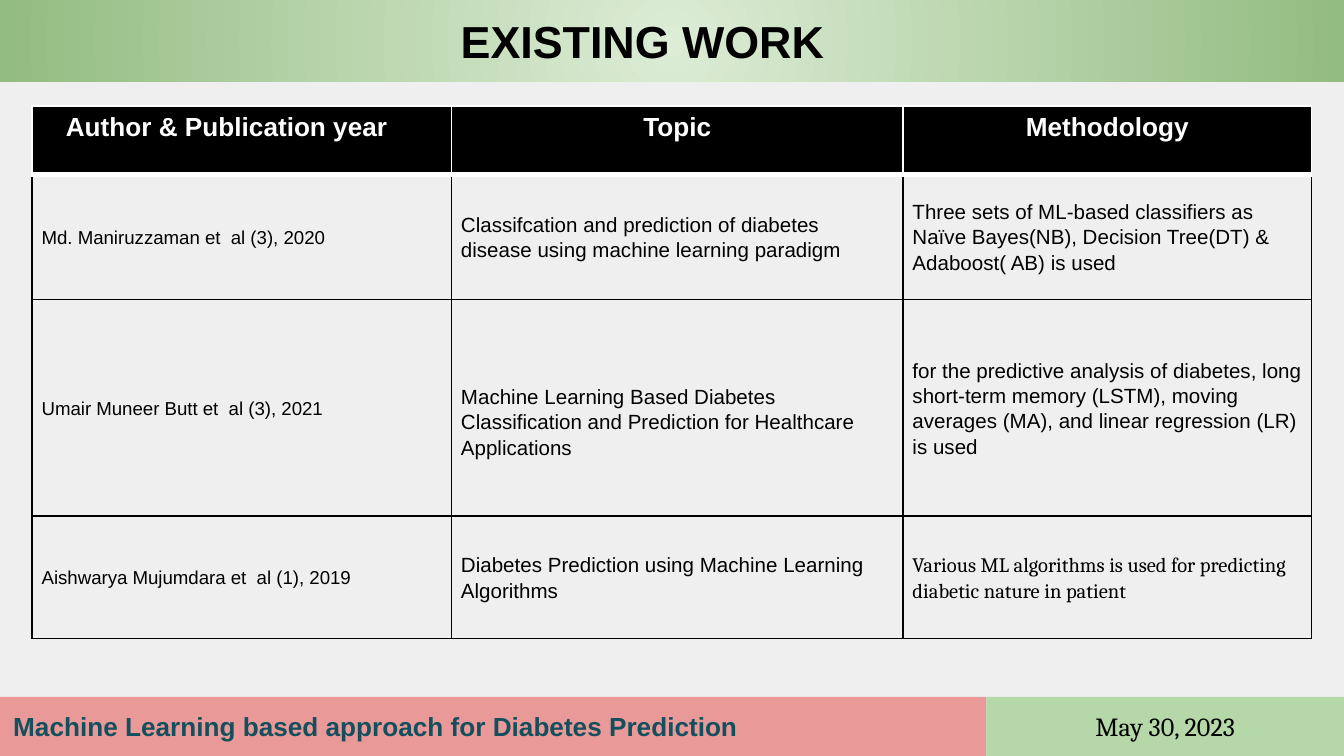
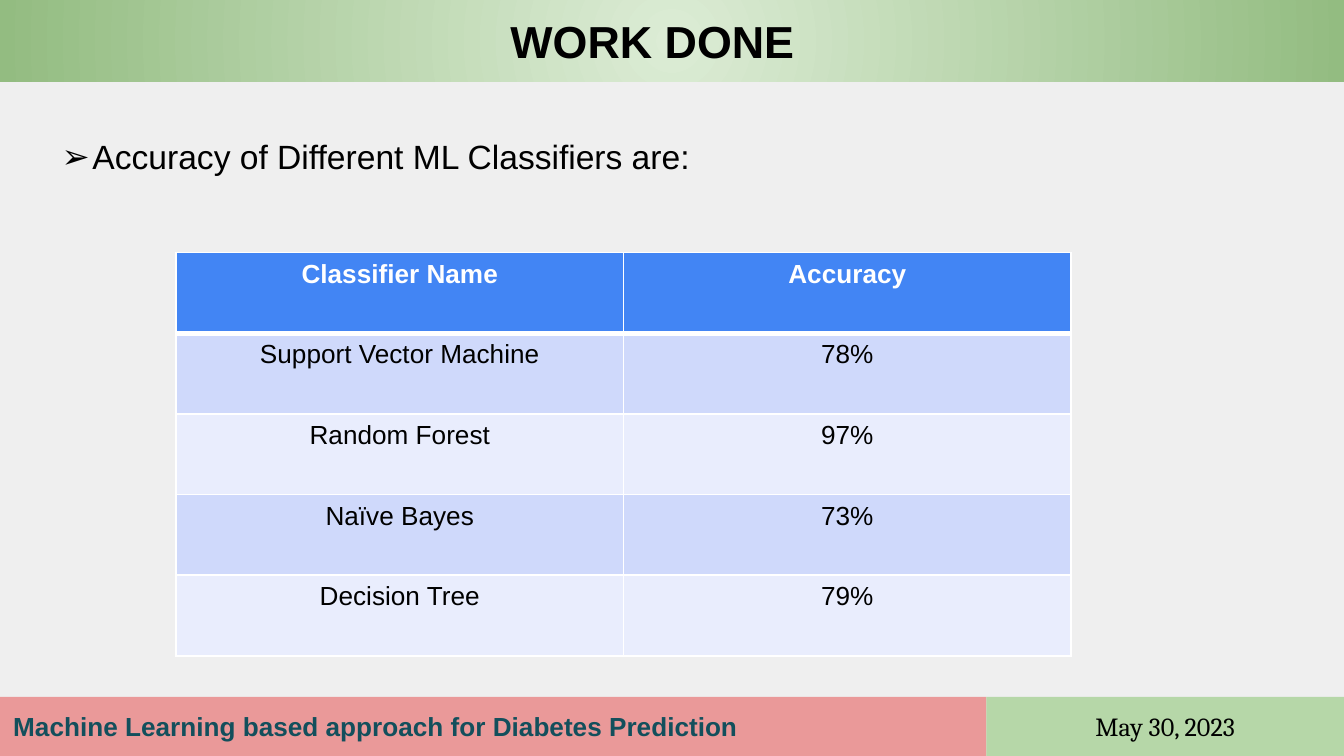
from lxml.etree import SubElement
from pptx import Presentation
from pptx.dml.color import RGBColor
from pptx.enum.shapes import MSO_SHAPE
from pptx.enum.text import MSO_ANCHOR, PP_ALIGN
from pptx.oxml import parse_xml
from pptx.oxml.ns import nsdecls, qn
from pptx.util import Inches, Pt

BLACK, WHITE, PAGE = "000000", "FFFFFF", "EFEFEF"
GLOW, LEAF = "DCECD5", "93BC81"
ROSE, MINT, TEAL = "EA9999", "B6D7A8", "134F5C"
BLUE, BANDS = "4285F4", ("CFD9FB", "E9EDFD")
SANS, SERIF = "Arial", "Cambria"
LEFT, MID = PP_ALIGN.LEFT, PP_ALIGN.CENTER
WIDE = 10
HIGH = WIDE * 9 / 16
FOOT = 0.44
COLS = (3.12, 3.36, 3.04)
SIDES = ("L", "R", "T", "B")

HEADS = ("Author & Publication year", "Topic", "Methodology")
PAPERS = (
    (0.94, "Md. Maniruzzaman et  al (3), 2020",
     "Classifcation and prediction of diabetes disease using machine learning paradigm",
     "Three sets of ML-based classifiers as Naïve Bayes(NB), Decision Tree(DT) & Adaboost( AB) is used"),
    (1.61, "Umair Muneer Butt et  al (3), 2021",
     "Machine Learning Based Diabetes Classification and Prediction for Healthcare Applications",
     "for the predictive analysis of diabetes, long short-term memory (LSTM), moving averages (MA), "
     "and linear regression (LR) is used"),
    (0.91, "Aishwarya Mujumdara et  al (1), 2019",
     "Diabetes Prediction using Machine Learning Algorithms",
     "Various ML algorithms is used for predicting diabetic nature in patient"),
)
AFTER = ((0.5, 1.6, 1.6), (0.6, 0.6, 0.6), (0.6, 1.8, 1.8))
SCORES = (
    ("Classifier Name", "Accuracy"),
    ("Support Vector Machine", "78%"),
    ("Random Forest", "97%"),
    ("Naïve Bayes", "73%"),
    ("Decision Tree", "79%"),
)


def hue(code):
    return RGBColor.from_string(code)


def paint(fill, code):
    fill.solid()
    fill.fore_color.rgb = hue(code)


def write(frame, text, size, color=BLACK, font=SANS, bold=False, align=LEFT, indent=0):
    para = frame.paragraphs[0]
    para.alignment = align
    if indent:
        para._p.get_or_add_pPr().set("marL", str(Inches(indent)))
    run = para.add_run()
    run.text = text
    run.font.size = Pt(size)
    run.font.name = font
    run.font.bold = bold
    paint(run.font.fill, color)
    return para


def add_band(slide, left, top, width, height):
    band = slide.shapes.add_shape(
        MSO_SHAPE.RECTANGLE, Inches(left), Inches(top), Inches(width), Inches(height))
    band.shadow.inherit = False
    band.line.fill.background()
    frame = band.text_frame
    frame.word_wrap = True
    frame.vertical_anchor = MSO_ANCHOR.MIDDLE
    frame.margin_left = frame.margin_right = Inches(0.1)
    frame.margin_top = frame.margin_bottom = Inches(0.1)
    return band


def set_glow(shape):
    shape.fill.gradient()
    for stop, code in zip(shape.fill.gradient_stops, (GLOW, LEAF)):
        stop.color.rgb = hue(code)
    grad = shape._element.spPr.find(qn("a:gradFill"))
    grad.remove(grad.find(qn("a:lin")))
    grad.append(parse_xml(
        f'<a:path {nsdecls("a")} path="circle">'
        '<a:fillToRect l="50000" t="50000" r="50000" b="50000"/></a:path>'))


def add_page(deck, title, indent):
    slide = deck.slides.add_slide(deck.slide_layouts[6])
    paint(slide.background.fill, PAGE)
    head = add_band(slide, 0, 0, WIDE, 0.61)
    set_glow(head)
    write(head.text_frame, title, 24, bold=True, indent=indent)
    name = add_band(slide, 0, HIGH - FOOT, 7.34, FOOT)
    paint(name.fill, ROSE)
    write(name.text_frame, "Machine Learning based approach for Diabetes Prediction",
          14, TEAL, bold=True)
    date = add_band(slide, 7.34, HIGH - FOOT, 2.66, FOOT)
    paint(date.fill, MINT)
    write(date.text_frame, "May 30, 2023", 14, font=SERIF, align=MID)
    return slide


def add_grid(slide, left, top, cols, rows):
    grid = slide.shapes.add_table(
        len(rows), len(cols), Inches(left), Inches(top),
        Inches(sum(cols)), Inches(sum(rows))).table
    grid.first_row = grid.horz_banding = False
    for col, width in zip(grid.columns, cols):
        col.width = Inches(width)
    for row, height in zip(grid.rows, rows):
        row.height = Inches(height)
    return grid


def edge(cell, color, base=1):
    props = cell._tc.get_or_add_tcPr()
    for spot, side in enumerate(SIDES):
        width = Pt(base if side == "B" else 1)
        props.insert(spot, parse_xml(
            f'<a:ln{side} {nsdecls("a")} w="{width}"><a:solidFill>'
            f'<a:srgbClr val="{color}"/></a:solidFill></a:ln{side}>'))


def add_head(cell, text, fill, align=MID, indent=0):
    paint(cell.fill, fill)
    edge(cell, WHITE, 3)
    write(cell.text_frame, text, 14, WHITE, bold=True, align=align, indent=indent)


def add_papers(slide):
    body = add_grid(slide, 0.24, 1.29, COLS, [paper[0] for paper in PAPERS])
    for r, paper in enumerate(PAPERS):
        for c, text in enumerate(paper[1:]):
            cell = body.cell(r, c)
            cell.fill.background()
            edge(cell, BLACK)
            cell.vertical_anchor = MSO_ANCHOR.MIDDLE
            cell.margin_left = cell.margin_right = Inches(0.07)
            cell.margin_top = Inches(0.2 if (r, c) == (1, 1) else 0)
            cell.margin_bottom = 0
            font = SERIF if (r, c) == (2, 2) else SANS
            para = write(cell.text_frame, text, 11 if c else 10, font=font)
            para.line_spacing = 1.11
            para.space_after = Pt(AFTER[r][c])
    top = add_grid(slide, 0.24, 0.79, COLS, (0.51,))
    for c, text in enumerate(HEADS):
        align, indent = (MID, 0) if c else (LEFT, 0.15)
        add_head(top.cell(0, c), text, BLACK, align, indent)


def add_point(slide, text):
    box = slide.shapes.add_textbox(Inches(0.36), Inches(0.92), Inches(9.29), Inches(0.42))
    box.text_frame.word_wrap = True
    para = write(box.text_frame, text, 18, indent=0.23)
    para.line_spacing = 1.15
    props = para._p.get_or_add_pPr()
    props.set("indent", str(-Inches(0.23)))
    tint = SubElement(props, qn("a:buClr"))
    SubElement(tint, qn("a:srgbClr")).set("val", BLACK)
    SubElement(props, qn("a:buFont")).set("typeface", SANS)
    SubElement(props, qn("a:buChar")).set("char", "➢")


def add_scores(slide):
    grid = add_grid(slide, 1.31, 1.88, [3.33] * 2, [0.6] * len(SCORES))
    for r, score in enumerate(SCORES):
        for c, text in enumerate(score):
            cell = grid.cell(r, c)
            if r == 0:
                add_head(cell, text, BLUE)
            else:
                paint(cell.fill, BANDS[(r - 1) % 2])
                edge(cell, WHITE)
                write(cell.text_frame, text, 14, align=MID)


def main():
    deck = Presentation()
    deck.slide_width, deck.slide_height = Inches(WIDE), Inches(HIGH)
    add_papers(add_page(deck, "EXISTING WORK", 3.33))
    work = add_page(deck, "WORK DONE", 3.7)
    add_point(work, "Accuracy of Different ML Classifiers are:")
    add_scores(work)
    deck.save("out.pptx")


if __name__ == "__main__":
    main()
